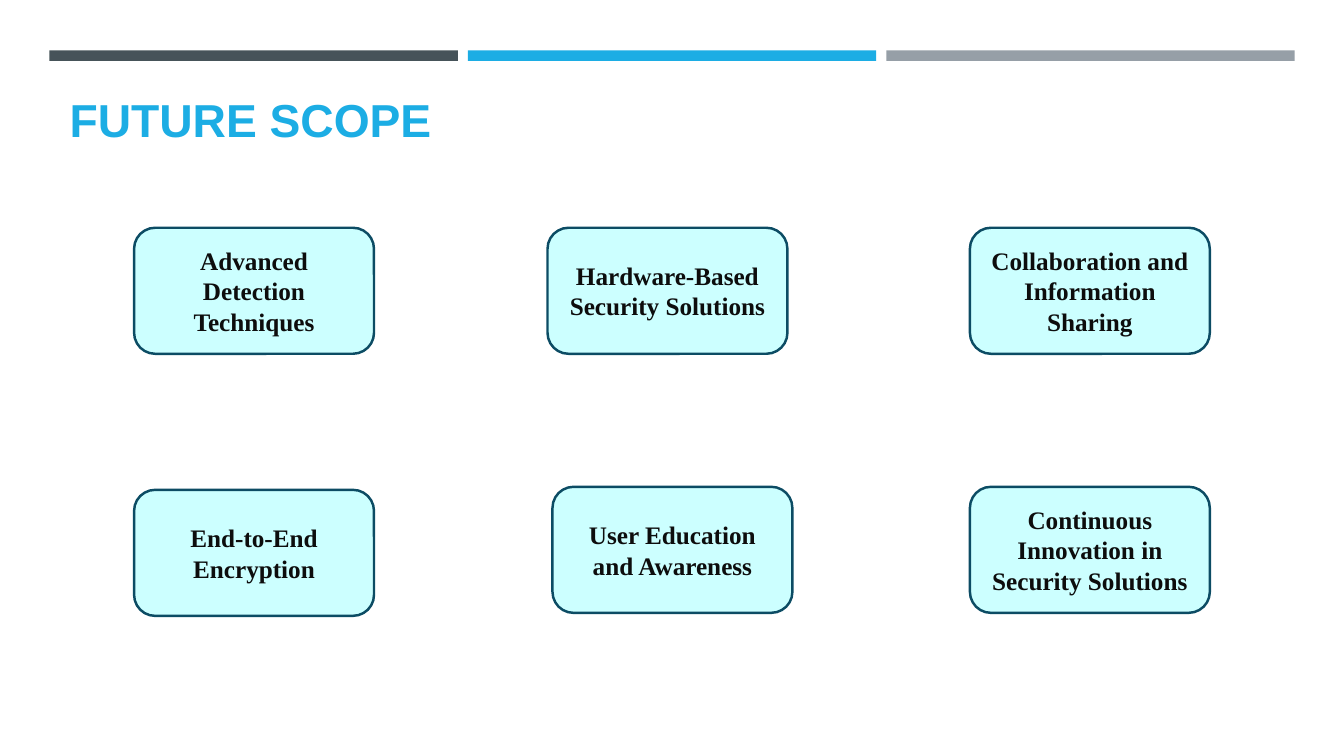
from pptx import Presentation
from pptx import util as u
from pptx.dml.color import RGBColor
from pptx.enum import shapes, text

WIDTH, HEIGHT = u.Inches(13.33), u.Inches(7.5)
COLORS = {
    "slate": "465359", "sky": "1CADE4", "gray": "969FA7",
    "card": "CCFFFF", "edge": "0C4C64", "ink": "0D0D0D",
}
TITLE_FONT = {"name": "Arial", "size": u.Pt(33), "bold": True}
CARD_FONT = {"name": "Times New Roman", "size": u.Pt(18), "bold": True}
CARD_SIZE = (17.85, 16.67)
CARDS = [
    ("Advanced Detection Techniques", 9.98, 30.13),
    ("Hardware-Based Security Solutions", 40.74, 30.13),
    ("Collaboration and Information Sharing", 72.17, 30.13),
    ("End-to-End Encryption", 9.98, 64.8),
    ("User Education and Awareness", 41.11, 64.4),
    ("Continuous Innovation in Security Solutions", 72.17, 64.4),
]


def place(left, top, width, height):
    columns, rows = WIDTH / 100, HEIGHT / 100
    return [round(v) for v in (left * columns, top * rows, width * columns, height * rows)]


def color(name):
    return RGBColor.from_string(COLORS[name])


def write(frame, words, font, ink, **layout):
    para = frame.paragraphs[0]
    span = para.add_run()
    span.text = words
    for key, value in font.items():
        setattr(span.font, key, value)
    span.font.color.rgb = color(ink)
    for key, value in layout.items():
        setattr(para, key, value)


def add_box(page, kind, box, fill):
    shape = page.shapes.add_shape(kind, *place(*box))
    shape.shadow.inherit = False
    shape.fill.solid()
    shape.fill.fore_color.rgb = color(fill)
    return shape


def add_bars(page, left, top, width, height):
    gap = 0.75
    bar_width = (width - 2 * gap) / 3
    for index, fill in enumerate(("slate", "sky", "gray")):
        box = (left + index * (bar_width + gap), top, bar_width, height)
        bar = add_box(page, shapes.MSO_SHAPE.RECTANGLE, box, fill)
        bar.line.fill.background()


def add_title(page, words, box):
    title = page.shapes.title
    title.left, title.top, title.width, title.height = place(*box)
    frame = title.text_frame
    frame.auto_size = text.MSO_AUTO_SIZE.NONE
    frame.vertical_anchor = text.MSO_ANCHOR.BOTTOM
    write(frame, words, TITLE_FONT, "sky", alignment=text.PP_ALIGN.LEFT, line_spacing=0.8)


def add_card(page, words, box):
    card = add_box(page, shapes.MSO_SHAPE.ROUNDED_RECTANGLE, box, "card")
    card.line.color.rgb = color("edge")
    card.line.width = u.Pt(1.75)
    frame = card.text_frame
    frame.word_wrap = True
    frame.vertical_anchor = text.MSO_ANCHOR.MIDDLE
    write(frame, words, CARD_FONT, "ink", alignment=text.PP_ALIGN.CENTER)


def main():
    deck = Presentation()
    deck.slide_width, deck.slide_height = WIDTH, HEIGHT
    page = deck.slides.add_slide(deck.slide_layouts[5])
    add_bars(page, 3.68, 6.67, 92.65, 1.4)
    add_title(page, "FUTURE SCOPE", (4.43, 12.27, 90.47, 7.73))
    for words, left, top in CARDS:
        add_card(page, words, (left, top, *CARD_SIZE))
    deck.save("out.pptx")


if __name__ == "__main__":
    main()
